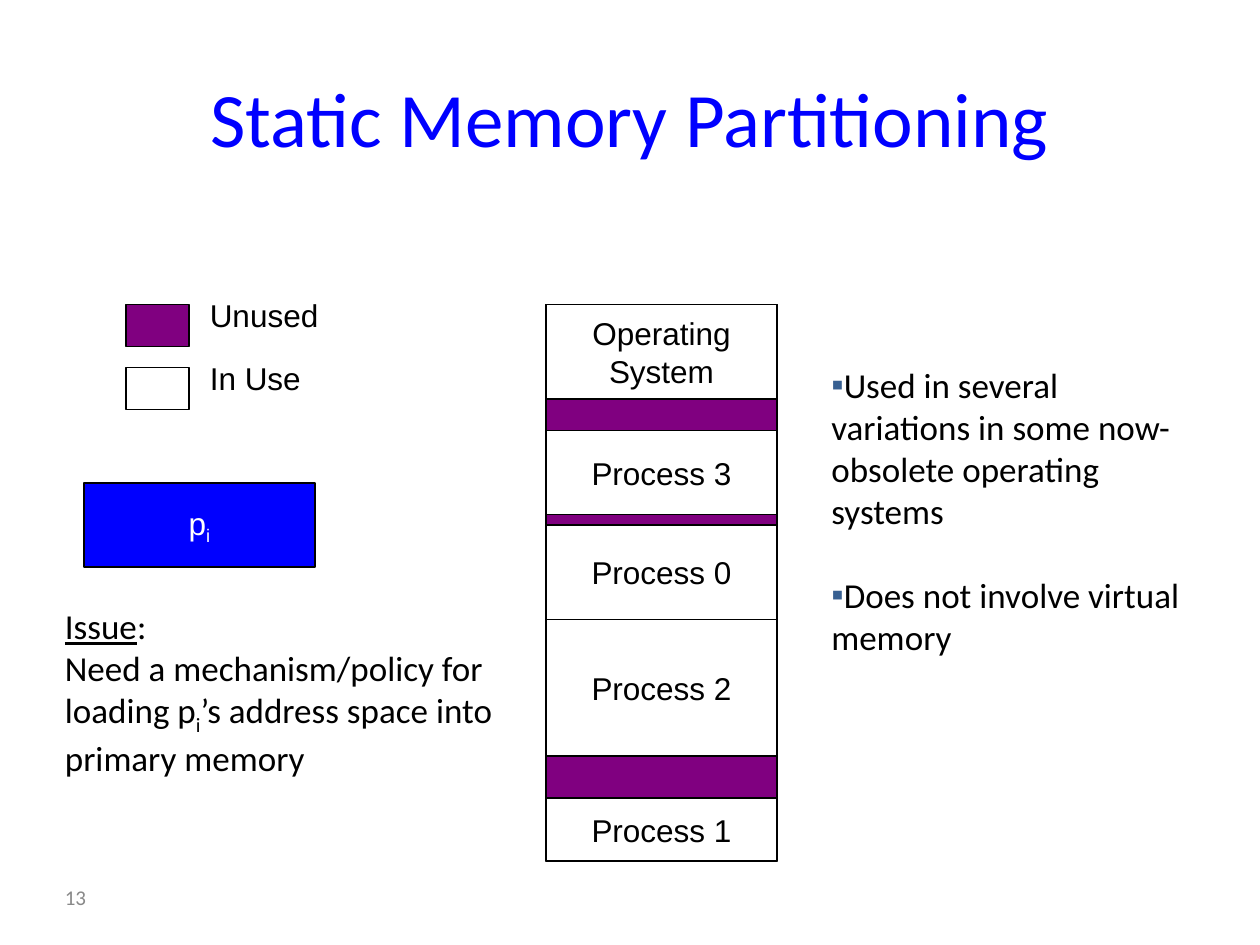
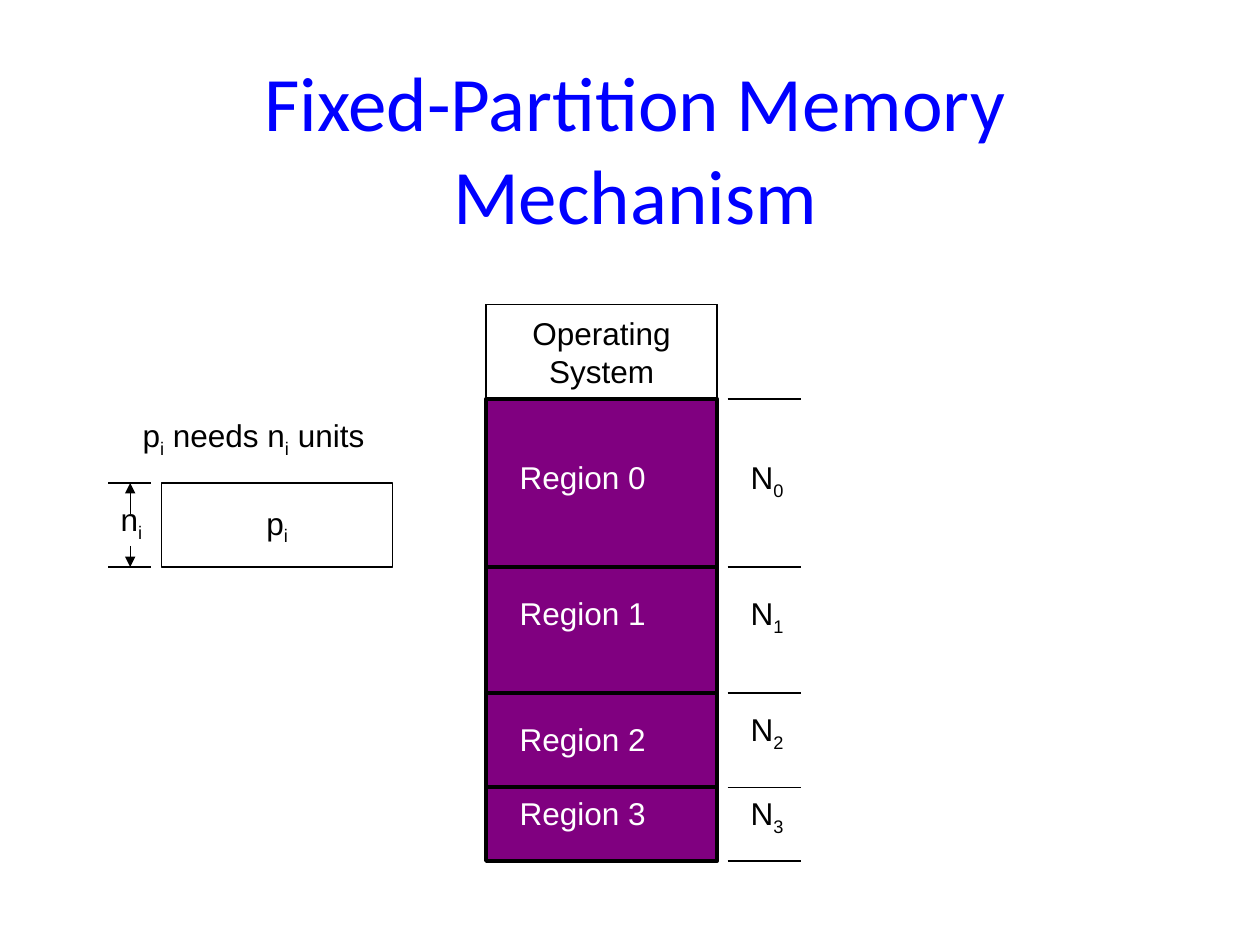
from dataclasses import dataclass

from lxml import etree
from pptx import Presentation
from pptx.dml.color import RGBColor
from pptx.enum.shapes import MSO_CONNECTOR, MSO_SHAPE
from pptx.enum.text import MSO_ANCHOR, MSO_AUTO_SIZE, PP_ALIGN
from pptx.oxml.ns import qn
from pptx.util import Inches, Pt

RECTANGLE = MSO_SHAPE.RECTANGLE
STRAIGHT = MSO_CONNECTOR.STRAIGHT
MIDDLE, TOP = MSO_ANCHOR.MIDDLE, MSO_ANCHOR.TOP
CENTER, LEFT = PP_ALIGN.CENTER, PP_ALIGN.LEFT
GROW = MSO_AUTO_SIZE.SHAPE_TO_FIT_TEXT

BLACK = RGBColor(0x00, 0x00, 0x00)
WHITE = RGBColor(0xFF, 0xFF, 0xFF)
BLUE = RGBColor(0x00, 0x00, 0xFF)
PURPLE = RGBColor(0x80, 0x00, 0x80)
GRAY = RGBColor(0x89, 0x89, 0x89)
BULLET_BLUE = RGBColor(0x37, 0x60, 0x92)

HEADING_FONT, DIAGRAM_FONT = "Calibri", "Arial"
COLUMNS, ROWS = 120, 90

# Both memory stacks share these measures, in grid columns and rows
STACK_TOP, STACK_ROWS, BLOCK_COLUMNS = 29, 53, 22
SYSTEM_ROWS = 9
PROCESS_TOP, PROCESS_ROWS = 46, 8


@dataclass
class Run:
    text: str
    subscript: bool = False
    underline: bool = False


SUB_I = Run("i", subscript=True)


class Deck:
    """Holds the style, the grid and the current slide."""

    def __init__(self):
        self.presentation = Presentation()
        self.presentation.slide_width = Inches(10)
        self.presentation.slide_height = Inches(7.5)
        self.column = self.presentation.slide_width / COLUMNS
        self.row = self.presentation.slide_height / ROWS
        self.slide = None

    def add_slide(self):
        self.slide = self.presentation.slides.add_slide(self.presentation.slide_layouts[6])

    def place(self, left, top, width, height):
        """Turn grid columns and rows into slide lengths."""
        return (round(left * self.column), round(top * self.row),
                round(width * self.column), round(height * self.row))

    def set_text(self, shape, paragraphs, font, size, color, align=LEFT, anchor=TOP, wrap=False):
        """Fill a shape; each paragraph is a string or a list of strings and Runs."""
        frame = shape.text_frame
        frame.word_wrap = wrap
        frame.vertical_anchor = anchor
        for index, content in enumerate(paragraphs):
            paragraph = frame.add_paragraph() if index else frame.paragraphs[0]
            paragraph.alignment = align
            for part in [content] if isinstance(content, str) else content:
                part = Run(part) if isinstance(part, str) else part
                run = paragraph.add_run()
                run.text = part.text
                run.font.name, run.font.size = font, Pt(size)
                run.font.color.rgb = color
                if part.underline:
                    run.font.underline = True
                if part.subscript:
                    run.font._element.set("baseline", "-25000")

    def text(self, box, paragraphs, font, size, color=BLACK, **layout):
        shape = self.slide.shapes.add_textbox(*self.place(*box))
        self.set_text(shape, paragraphs, font, size, color, **layout)
        return shape

    def title(self, box, wording):
        self.text(box, [wording], HEADING_FONT, 44, BLUE, align=CENTER, anchor=MIDDLE, wrap=True)

    def label(self, left, top, width, height, content, color=BLACK):
        shape = self.text((left, top, width, height), [content], DIAGRAM_FONT, 18, color)
        shape.text_frame.auto_size = GROW

    def bullets(self, box, items):
        shape = self.text(box, items, HEADING_FONT, 20, wrap=True)
        for index, paragraph in enumerate(shape.text_frame.paragraphs):
            if index:
                paragraph.space_before = Pt(24)
            properties = paragraph._p.get_or_add_pPr()
            properties.set("marL", "0")
            properties.set("indent", str(-Inches(0.32)))
            color = etree.SubElement(properties, qn("a:buClr"))
            etree.SubElement(color, qn("a:srgbClr"), val=str(BULLET_BLUE))
            etree.SubElement(properties, qn("a:buFont"), typeface="Arial")
            etree.SubElement(properties, qn("a:buChar"), char="▪")

    def block(self, left, top, width, height, fill=WHITE, paragraphs=(), color=BLACK, weight=0.75):
        """Draw a black-edged rectangle; fill None leaves it open."""
        shape = self.slide.shapes.add_shape(RECTANGLE, *self.place(left, top, width, height))
        shape.shadow.inherit = False
        if fill is None:
            shape.fill.background()
        else:
            shape.fill.solid()
            shape.fill.fore_color.rgb = fill
        shape.line.color.rgb = BLACK
        shape.line.width = Pt(weight)
        self.set_text(shape, paragraphs, DIAGRAM_FONT, 18, color, align=CENTER, anchor=MIDDLE)

    def stack(self, left):
        """Draw the unused memory with the operating system on top."""
        self.block(left, STACK_TOP, BLOCK_COLUMNS, STACK_ROWS, PURPLE)
        self.block(left, STACK_TOP, BLOCK_COLUMNS, SYSTEM_ROWS, paragraphs=["Operating", "System"])

    def waiting_process(self, left, fill, color):
        self.block(left, PROCESS_TOP, BLOCK_COLUMNS, PROCESS_ROWS, fill, [["p", SUB_I]], color)

    def line(self, start, end, arrow=False):
        connector = self.slide.shapes.add_connector(STRAIGHT, *self.place(*start, *end))
        connector.line.color.rgb = BLACK
        connector.line.width = Pt(0.75)
        properties = connector._element.spPr
        if arrow:
            etree.SubElement(properties.find(qn("a:ln")), qn("a:tailEnd"), type="triangle")
        etree.SubElement(properties, qn("a:effectLst"))


def static_partitioning(deck):
    deck.add_slide()
    deck.title((6, 3.6, 108, 15), "Static Memory Partitioning")
    deck.bullets((78, 34, 36, 35), [
        "Used in several variations in some now-obsolete operating systems",
        "Does not involve virtual memory",
    ])
    deck.text((5, 83, 13, 4.8), ["13"], HEADING_FONT, 12, GRAY, anchor=MIDDLE, wrap=True)

    stack_left = 52
    deck.stack(stack_left)
    for name, top, height in (("Process 3", 41, 8), ("Process 0", 50, 9),
                              ("Process 2", 59, 13), ("Process 1", 76, 6)):
        deck.block(stack_left, top, BLOCK_COLUMNS, height, paragraphs=[name])

    for index, (meaning, fill) in enumerate((("Unused", PURPLE), ("In Use", WHITE))):
        top = STACK_TOP + 6 * index
        deck.block(12, top, 6, 4, fill)
        deck.label(18.8, top - 1.4, 14, 6, meaning)

    deck.text((5, 57, 45.2, 17.4), [
        [Run("Issue", underline=True), ":"],
        ["Need a mechanism/policy for loading p", SUB_I, "’s address space into primary memory"],
    ], HEADING_FONT, 20, wrap=True)
    deck.waiting_process(8, BLUE, WHITE)


def fixed_partition(deck):
    deck.add_slide()
    deck.title((6, 4, 109, 20), "Fixed-Partition Memory Mechanism")

    stack_left = 46.3
    deck.stack(stack_left)
    top = STACK_TOP + SYSTEM_ROWS
    boundaries = [top]
    regions = ((16, 43, 43), (12, 56, 56), (9, 68, 67), (7, 75, 75))
    for number, (height, name_top, size_top) in enumerate(regions):
        deck.block(stack_left, top, BLOCK_COLUMNS, height, None, weight=2.25)
        deck.label(stack_left + 2, name_top, 14.5, 4.8, f"Region {number}", WHITE)
        deck.label(stack_left + 24, size_top, 6.6, 6, ["N", Run(str(number), subscript=True)])
        top += height
        boundaries.append(top)
    for boundary in boundaries:
        deck.line((stack_left + 23, boundary), (stack_left + 30, boundary))

    deck.waiting_process(15.4, WHITE, BLACK)
    deck.label(12.4, 39, 27.8, 6, ["p", SUB_I, " needs n", SUB_I, " units"])
    deck.label(10.3, 47, 5.2, 6, ["n", SUB_I])
    for start, edge in ((49, PROCESS_TOP), (52, PROCESS_TOP + PROCESS_ROWS)):
        deck.line((10.3, edge), (14.4, edge))
        deck.line((12.4, start), (12.4, edge), arrow=True)


def main():
    deck = Deck()
    static_partitioning(deck)
    fixed_partition(deck)
    deck.presentation.save("out.pptx")


if __name__ == "__main__":
    main()
